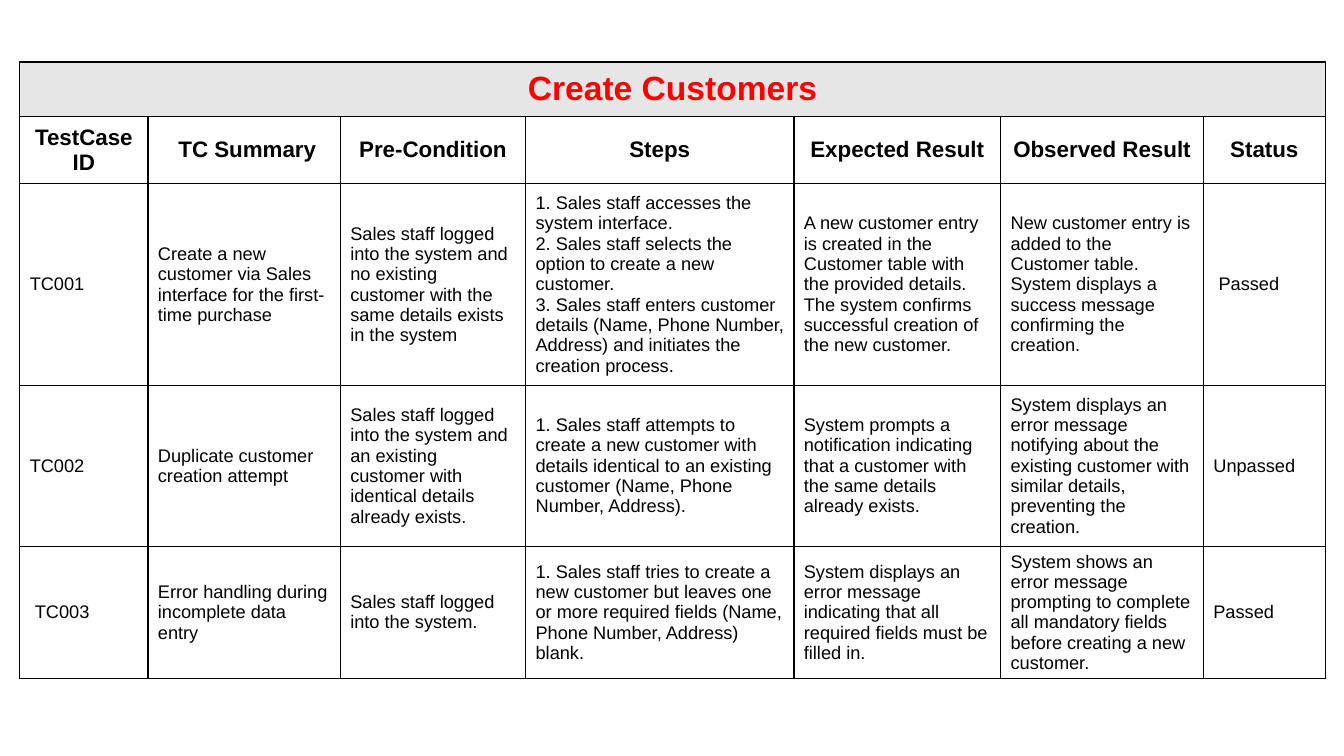
from lxml.etree import SubElement as Sub
from pptx import Presentation
from pptx.dml.color import RGBColor as Rgb
from pptx.enum.text import MSO_ANCHOR as Anchor, PP_ALIGN as Align
from pptx.oxml.ns import qn
from pptx.util import Cm, Pt

COLORS = {"title": "FF0000", "text": "000000", "band": "E7E6E6",
          "page": "FFFFFF", "border": "000000"}
FORMATS = {
    "title": {"size": Pt(24), "bold": True, "name": "Arial"},
    "header": {"size": Pt(16), "bold": True, "name": "Arial"},
    "body": {"size": Pt(13), "bold": False, "name": "Arial"},
}
WIDTHS = [3.23, 4.85, 4.67, 6.76, 5.21, 5.11, 3.07]
HEIGHTS = [1.37, 1.7, 5.08, 4.06, 3.33]
TITLE = "Create Customers"
HEADERS = ["TestCase ID", "TC Summary", "Pre-Condition", "Steps",
           "Expected Result", "Observed Result", "Status"]
TEST_CASES = [
    ["TC001",
     "Create a new customer via Sales interface for the first-time purchase",
     "Sales staff logged into the system and no existing customer with the "
     "same details exists in the system",
     "1. Sales staff accesses the system interface.\n"
     "2. Sales staff selects the option to create a new customer.\n"
     "3. Sales staff enters customer details (Name, Phone Number, Address) "
     "and initiates the creation process.",
     "A new customer entry is created in the Customer table with the "
     "provided details.\n"
     "The system confirms successful creation of the new customer.",
     "New customer entry is added to the Customer table.\n"
     "System displays a success message confirming the creation.",
     "Passed"],
    ["TC002",
     "Duplicate customer creation attempt",
     "Sales staff logged into the system and an existing customer with "
     "identical details already exists.",
     "1. Sales staff attempts to create a new customer with details identical "
     "to an existing customer (Name, Phone Number, Address).",
     "System prompts a notification indicating that a customer with the same "
     "details already exists.",
     "System displays an error message notifying about the existing customer "
     "with similar details, preventing the creation.",
     "Unpassed"],
    ["TC003",
     "Error handling during incomplete data entry",
     "Sales staff logged into the system.",
     "1. Sales staff tries to create a new customer but leaves one or more "
     "required fields (Name, Phone Number, Address) blank.",
     "System displays an error message indicating that all required fields "
     "must be filled in.",
     "System shows an error message prompting to complete all mandatory "
     "fields before creating a new customer.",
     "Passed"],
]
INDENTS = {(1, 1): 0.16, (2, 6): 0.13, (4, 0): 0.13}


class TestCasePage:
    def __init__(self, deck):
        self.page = deck.slides.add_slide(deck.slide_layouts[6])
        self.margin = 0.25

    def border(self, cell):
        properties = cell._tc.get_or_add_tcPr()
        for position, side in enumerate(("a:lnL", "a:lnR", "a:lnT", "a:lnB")):
            line = Sub(properties, qn(side), w=str(Pt(1)))
            fill = Sub(line, qn("a:solidFill"))
            Sub(fill, qn("a:srgbClr"), val=COLORS["border"])
            properties.insert(position, line)

    def cell(self, cell, text, style, align, color="text", fill="page", indent=0):
        cell.fill.solid()
        cell.fill.fore_color.rgb = Rgb.from_string(COLORS[fill])
        cell.vertical_anchor = Anchor.MIDDLE
        cell.margin_left = Cm(self.margin + indent)
        cell.text = text
        for para in cell.text_frame.paragraphs:
            para.alignment = align
            for span in para.runs:
                for key, value in FORMATS[style].items():
                    setattr(span.font, key, value)
                span.font.color.rgb = Rgb.from_string(COLORS[color])

    def table(self, left, top):
        size = (sum(WIDTHS), sum(HEIGHTS))
        frame = self.page.shapes.add_table(
            len(HEIGHTS), len(WIDTHS), Cm(left), Cm(top), *map(Cm, size))
        table = frame.table
        for column, width in zip(table.columns, WIDTHS):
            column.width = Cm(width)
        for row, height in zip(table.rows, HEIGHTS):
            row.height = Cm(height)
        for cell in table.iter_cells():
            self.border(cell)
        table.cell(0, 0).merge(table.cell(0, len(WIDTHS) - 1))
        self.cell(table.cell(0, 0), TITLE, "title", Align.CENTER, "title", "band")
        for row, texts in enumerate([HEADERS, *TEST_CASES], 1):
            style, align = ("header", Align.CENTER) if row == 1 else ("body", Align.LEFT)
            for column, text in enumerate(texts):
                self.cell(table.cell(row, column), text, style, align,
                          indent=INDENTS.get((row, column), 0))


def main():
    deck = Presentation()
    deck.slide_width, deck.slide_height = Cm(33.87), Cm(19.05)
    TestCasePage(deck).table(0.5, 1.56)
    deck.save("out.pptx")


if __name__ == "__main__":
    main()
